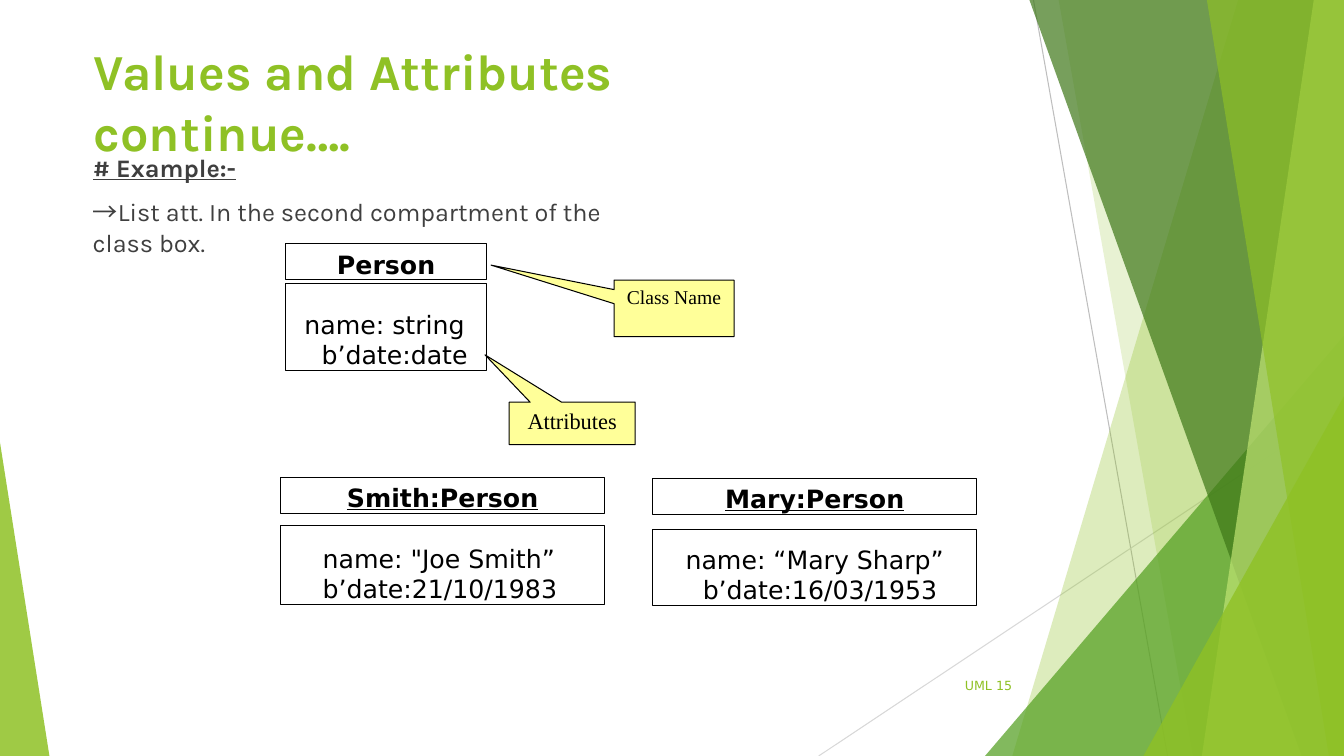
import dataclasses

import lxml.etree
import pptx
import pptx.dml.color
import pptx.enum.shapes
import pptx.enum.text
import pptx.oxml.ns
import pptx.util


@dataclasses.dataclass(frozen=True)
class Theme:
    lime: str = "8FC125"
    leaf: str = "539F20"
    forest: str = "3E7718"
    pale: str = "BFE373"
    note: str = "FFFF99"
    ink: str = "000000"
    body_ink: str = "3F3F3F"
    light_line: str = "D8D8D8"
    dark_line: str = "BEBEBE"
    heading_font: str = "Karla"
    arrow_font: str = "Noto Sans CJK KR"
    diagram_font: str = "DejaVu Sans"
    note_font: str = "Times New Roman"
    title_size: int = 36
    body_size: int = 18
    attributes_size: int = 16
    class_name_size: int = 14
    footer_size: int = 9
    line_width: float = 0.75


theme = Theme()
rgb = pptx.dml.color.RGBColor.from_string
qn = pptx.oxml.ns.qn
shape_kind = pptx.enum.shapes.MSO_SHAPE
align = pptx.enum.text.PP_ALIGN

deck = pptx.Presentation()
deck.slide_width = pptx.util.Inches(13.33)
deck.slide_height = pptx.util.Inches(7.5)
page = deck.slides.add_slide(deck.slide_layouts[6])
column = deck.slide_width / 133.3
row = deck.slide_height / 75


def add_box(kind, left, top, width, height, fill=None, line=None):
    place = [round(left * column), round(top * row), round(width * column), round(height * row)]
    if kind is None:
        return page.shapes.add_textbox(*place)
    box = page.shapes.add_shape(kind, *place)
    box.shadow.inherit = False
    if fill:
        box.fill.solid()
        box.fill.fore_color.rgb = rgb(fill)
    else:
        box.fill.background()
    box.line.color.rgb = rgb(line)
    box.line.width = pptx.util.Pt(theme.line_width)
    return box


def write(box, text, font, size, color, inset=0.1, bold=False, underline=False, alignment=align.LEFT):
    frame = box.text_frame
    frame.word_wrap = True
    frame.vertical_anchor = pptx.enum.text.MSO_ANCHOR.TOP
    frame.margin_left = frame.margin_right = frame.margin_bottom = 0
    frame.margin_top = round(inset * row)
    frame.text = text
    for para in frame.paragraphs:
        para.alignment = alignment
        para.font.name = font
        para.font.size = pptx.util.Pt(size)
        para.font.color.rgb = rgb(color)
        para.font.bold = bold
        para.font.underline = underline
    return frame.paragraphs


for start_x, start_y, end_x, end_y, color in [
    (102.5, 0, 115.8, 75, theme.dark_line),
    (133.3, 40.3, 81.2, 75, theme.light_line),
]:
    ray = page.shapes.add_connector(
        pptx.enum.shapes.MSO_CONNECTOR.STRAIGHT,
        round(start_x * column), round(start_y * row), round(end_x * column), round(end_y * row),
    )
    ray.line.color.rgb = rgb(color)
    ray.line.width = pptx.util.Pt(theme.line_width)
    lxml.etree.SubElement(ray._element.spPr, qn("a:effectLst"))

for color, opacity, corners in [
    (theme.lime, 30, [(133.3, 0), (122.8, 0), (100.4, 75), (133.3, 75)]),
    (theme.lime, 20, [(133.3, 0), (105, 0), (118.3, 75), (133.3, 75)]),
    (theme.leaf, 72, [(133.3, 33.3), (97.7, 75), (133.3, 75)]),
    (theme.forest, 70, [(133.3, 0), (102.1, 0), (129.1, 75), (133.3, 75)]),
    (theme.pale, 70, [(133.3, 0), (130.3, 0), (119.2, 75), (133.3, 75)]),
    (theme.lime, 65, [(133.3, 0), (119.7, 0), (131.8, 75), (133.3, 75)]),
    (theme.lime, 80, [(133.3, 39.3), (113.4, 75), (133.3, 75)]),
    (theme.lime, 85, [(0, 43.9), (0, 75), (4.9, 75)]),
]:
    points = [(round(x * column), round(y * row)) for x, y in corners]
    outline = page.shapes.build_freeform(*points[0])
    outline.add_line_segments(points[1:], close=True)
    facet = outline.convert_to_shape()
    facet.shadow.inherit = False
    facet.line.fill.background()
    facet.fill.solid()
    facet.fill.fore_color.rgb = rgb(color)
    tint = facet._element.spPr.find(qn("a:solidFill"))[0]
    lxml.etree.SubElement(tint, qn("a:alpha")).set("val", str(opacity * 1000))

title = add_box(None, 9.3, 3.7, 70, 12)
write(title, "Values and Attributes continue….", theme.heading_font, theme.title_size, theme.lime, 0.3, bold=True)

example = add_box(None, 9.2, 13.6, 51.5, 9)
heading, advice = write(
    example, "# Example:-\n", theme.heading_font, theme.body_size, theme.body_ink, 1.5, bold=True, underline=True
)
advice.space_before = pptx.util.Pt(10)
advice.font.bold = advice.font.underline = False
for text, font in [
    ("→", theme.arrow_font),
    ("List att. In the second compartment of the", theme.heading_font),
]:
    span = advice.add_run()
    span.text = text
    span.font.name = font
advice_end = add_box(None, 9.2, 22.4, 12, 3.2)
write(advice_end, "class box.", theme.heading_font, theme.body_size, theme.body_ink)

for left, width, name, name_top, underline, values, values_top, values_height, inset, margin, indent in [
    (28.3, 20, "Person", 24.2, False, "name: string\vb’date:date", 28.1, 8.7, 2.6, 3.6, -1.7),
    (27.8, 32.2, "Smith:Person", 47.4, True, "name: \"Joe Smith”\vb’date:21/10/1983", 52.1, 7.9, 1.8, 4.2, 0),
    (64.7, 32.2, "Mary:Person", 47.5, True, "name: “Mary Sharp”\vb’date:16/03/1953", 52.5, 7.6, 1.5, 5, -1.7),
]:
    name_box = add_box(shape_kind.RECTANGLE, left, name_top, width, 3.5, line=theme.ink)
    write(name_box, name, theme.diagram_font, theme.body_size, theme.ink, 0.5, True, underline, align.CENTER)
    values_box = add_box(shape_kind.RECTANGLE, left, values_top, width, values_height, line=theme.ink)
    para = write(values_box, values, theme.diagram_font, theme.body_size, theme.ink, inset)[0]
    layout = para._p.get_or_add_pPr()
    layout.set("marL", str(round(margin * column)))
    layout.set("indent", str(round(indent * column)))

for text, size, left, top, width, height, tip_x, tip_y in [
    ("Class Name", theme.class_name_size, 60.9, 27.8, 11.9, 5.6, 48.7, 26.3),
    ("Attributes", theme.attributes_size, 50.5, 39.9, 12.5, 4.2, 48.1, 35.2),
]:
    callout = add_box(shape_kind.RECTANGULAR_CALLOUT, left, top, width, height, theme.note, theme.ink)
    callout.adjustments[0] = (tip_x - left) / width - 0.5
    callout.adjustments[1] = (tip_y - top) / height - 0.5
    write(callout, text, theme.note_font, size, theme.ink, 0.5, alignment=align.CENTER)

footer = add_box(None, 95.7, 67.2, 6, 1.7)
write(footer, "UML 15", theme.diagram_font, theme.footer_size, theme.lime)

deck.save("out.pptx")
